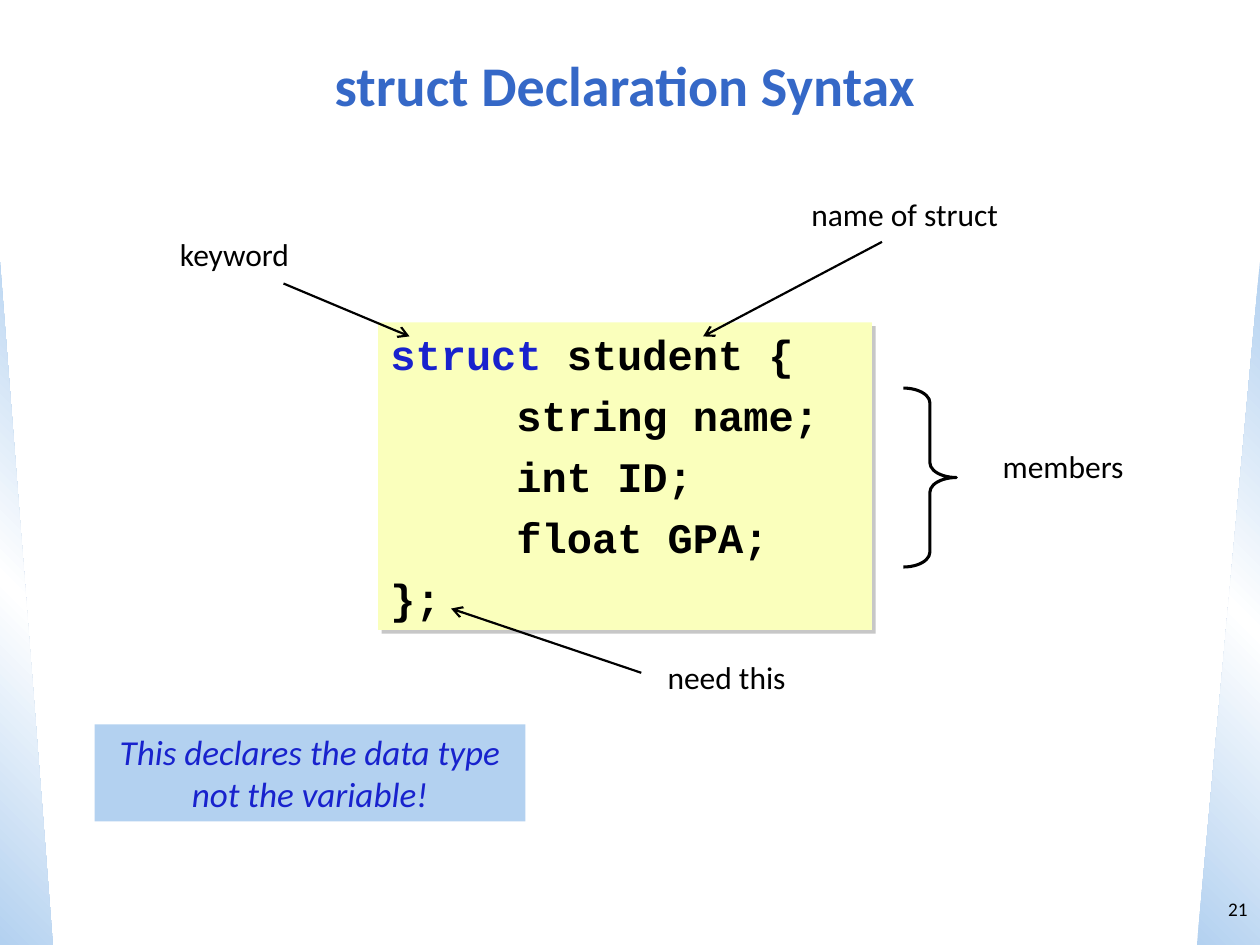
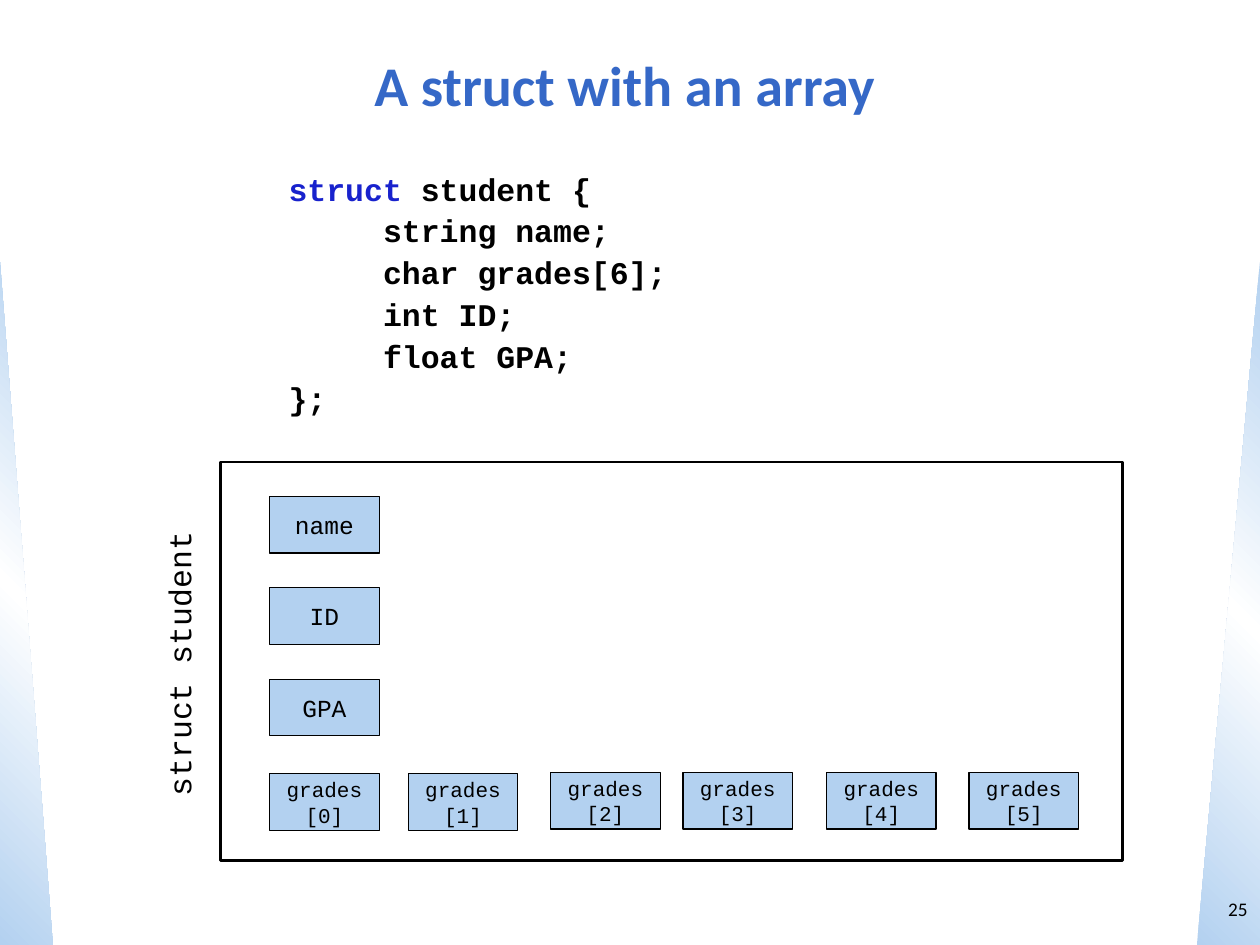
from dataclasses import dataclass

from lxml import etree
from pptx import Presentation
from pptx import util as u
from pptx.dml.color import RGBColor
from pptx.enum import shapes, text
from pptx.oxml import parse_xml
from pptx.oxml.ns import nsdecls, qn

COLORS = {
    "black": "000000",
    "title": "3568C7",
    "keyword": "1822CD",
    "band": "B3D1F0",
    "white": "FFFFFF",
    "code": "FAFFBC",
    "shadow": "808080",
}
BODY, MONO = "Calibri", "Courier New"
SHAPE, ALIGN, ANCHOR = shapes.MSO_SHAPE, text.PP_ALIGN, text.MSO_ANCHOR


@dataclass(frozen=True)
class Box:
    left: float
    top: float
    width: float
    height: float

    def emu(self) -> list:
        return [u.Inches(v) for v in (self.left, self.top, self.width, self.height)]


@dataclass(frozen=True)
class Label:
    words: str
    box: Box


@dataclass(frozen=True)
class Arrow:
    start: tuple[float, float]
    end: tuple[float, float]


@dataclass(frozen=True)
class Field:
    name: str
    left: float
    top: float
    size: int = 14


def rgb(name: str) -> RGBColor:
    return RGBColor.from_string(COLORS[name])


def write(sp, lines, *, size, font=BODY, color="black", bold=False, italic=False,
          align=ALIGN.LEFT, anchor=ANCHOR.TOP, wrap=True, gap=0.0,
          line_spacing=1.0, inset_left=0.1) -> None:
    """Fill a shape with lines; a line is a string or a list of (text, color)."""
    tf = sp.text_frame
    tf.word_wrap, tf.vertical_anchor = wrap, anchor
    tf.margin_left, tf.margin_right = u.Inches(inset_left), u.Inches(0.1)
    tf.margin_top = tf.margin_bottom = u.Inches(0.05)
    for i, line in enumerate(lines):
        p = tf.add_paragraph() if i else tf.paragraphs[0]
        p.alignment = align
        p.line_spacing = line_spacing
        p.space_before = u.Pt(gap if i else 0)
        for words, run_color in [(line, color)] if isinstance(line, str) else line:
            r = p.add_run()
            r.text = words
            r.font.name, r.font.size = font, u.Pt(size)
            r.font.bold, r.font.italic = bold, italic
            r.font.color.rgb = rgb(run_color)


def add_text(s, box: Box, lines, **fmt):
    sp = s.shapes.add_textbox(*box.emu())
    write(sp, lines, **fmt)
    return sp


def add_shape(s, kind, box: Box, fill: str | None = None, line: float = 0):
    sp = s.shapes.add_shape(kind, *box.emu())
    sp.shadow.inherit = False
    if fill:
        sp.fill.solid()
        sp.fill.fore_color.rgb = rgb(fill)
    else:
        sp.fill.background()
    if line:
        sp.line.color.rgb = rgb("black")
        sp.line.width = u.Pt(line)
    else:
        sp.line.fill.background()
    return sp


def add_arrow(s, arrow: Arrow) -> None:
    points = [u.Inches(v) for v in arrow.start + arrow.end]
    cx = s.shapes.add_connector(shapes.MSO_CONNECTOR.STRAIGHT, *points)
    cx.line.color.rgb = rgb("black")
    cx.line.width = u.Pt(1.25)
    ln = cx.element.spPr.find(qn("a:ln"))
    etree.SubElement(ln, qn("a:tailEnd"), type="arrow")
    etree.SubElement(cx.element.spPr, qn("a:effectLst"))


def add_side_band(s, box: Box, angle: int, flip: bool) -> None:
    sp = add_shape(s, SHAPE.RIGHT_TRIANGLE, box)
    stops = "".join(
        f'<a:gs pos="{pos * 1000}"><a:srgbClr val="{COLORS[name]}"/></a:gs>'
        for pos, name in ((0, "band"), (50, "white"), (100, "band")))
    gradient = parse_xml(
        f'<a:gradFill {nsdecls("a")} rotWithShape="1"><a:gsLst>{stops}</a:gsLst>'
        f'<a:lin ang="{angle * 60000}" scaled="0"/></a:gradFill>')
    pr = sp.element.spPr
    pr.replace(pr.find(qn("a:noFill")), gradient)
    if flip:
        pr.find(qn("a:xfrm")).set("flipH", "1")


def add_drop_shadow(sp) -> None:
    effects = sp.element.spPr.find(qn("a:effectLst"))
    effects.append(parse_xml(
        f'<a:outerShdw {nsdecls("a")} blurRad="0" dist="{u.Pt(3)}" dir="2700000" '
        f'algn="ctr" rotWithShape="0"><a:srgbClr val="{COLORS["shadow"]}">'
        '<a:alpha val="43000"/></a:srgbClr></a:outerShdw>'))


def add_slide(prs, title: str, number: int):
    """Add a slide with its side bands, title and number."""
    s = prs.slides.add_slide(prs.slide_layouts[6])
    add_side_band(s, Box(0, 2.08, 0.42, 5.42), 315, False)
    add_side_band(s, Box(9.5, 2.08, 0.5, 5.42), 45, True)
    add_text(s, Box(0.25, 0.25, 9.42, 0.83), [title], size=32, color="title",
             bold=True, align=ALIGN.CENTER, anchor=ANCHOR.MIDDLE)
    add_text(s, Box(9.5, 6.92, 0.5, 0.58), [str(number)], size=11,
             align=ALIGN.RIGHT, anchor=ANCHOR.MIDDLE)
    return s


def struct_code(*members: str) -> list:
    head = [("struct", "keyword"), (" student {", "black")]
    return [head, *(f"     {member};" for member in members), "};"]


def build_syntax_slide(prs) -> None:
    s = add_slide(prs, "struct Declaration Syntax", 21)

    code = add_shape(s, SHAPE.RECTANGLE, Box(3, 2.56, 3.92, 2.44), "code")
    add_drop_shadow(code)
    write(code, struct_code("string name", "int ID", "float GPA"), size=24,
          font=MONO, bold=True, gap=6)

    for label in (
        Label("keyword", Box(1.33, 1.82, 1.08, 0.4)),
        Label("name of struct", Box(6.34, 1.5, 1.68, 0.4)),
        Label("members", Box(7.86, 3.5, 1.16, 0.4)),
        Label("need this", Box(5.2, 5.17, 1.14, 0.4)),
    ):
        add_text(s, label.box, [label.words], size=18, wrap=False)

    for arrow in (
        Arrow((7, 1.92), (5.58, 2.67)),
        Arrow((5.09, 5.34), (3.58, 4.83)),
        Arrow((2.25, 2.25), (3.25, 2.67)),
    ):
        add_arrow(s, arrow)

    brace = add_shape(s, SHAPE.RIGHT_BRACE, Box(7.17, 3.08, 0.42, 1.42), line=1.75)
    brace.adjustments[0] = 0.28

    note = add_shape(s, SHAPE.RECTANGLE, Box(0.75, 5.75, 3.42, 0.77), "band")
    write(note, ["This declares the data type not the variable!"], size=20,
          color="keyword", italic=True, align=ALIGN.CENTER)


def build_array_slide(prs) -> None:
    s = add_slide(prs, "A struct with an array", 25)
    members = struct_code("string name", "char grades[6]", "int ID", "float GPA")
    add_text(s, Box(0.5, 1.33, 9, 5.58), members, size=18, font=MONO, bold=True,
             gap=4.5, line_spacing=0.9, inset_left=1.79)

    first_left = 2.14
    fields = [Field(name, first_left, 3.94 + 0.725 * i)
              for i, name in enumerate(("name", "ID", "GPA"))]
    grade_lefts = (first_left, 3.24, 4.37, 5.42, 6.56, 7.69)
    fields += [Field(f"grades[{i}]", left, 6.14 if i < 2 else 6.13, 12)
               for i, left in enumerate(grade_lefts)]
    for field in fields:
        sp = add_shape(s, SHAPE.RECTANGLE, Box(field.left, field.top, 0.87, 0.45),
                       "band", line=0.75)
        write(sp, [field.name], size=field.size, font=MONO,
              align=ALIGN.CENTER, anchor=ANCHOR.MIDDLE)

    frame = add_shape(s, SHAPE.ROUNDED_RECTANGLE, Box(1.75, 3.67, 7.16, 3.16), line=1.25)
    frame.adjustments[0] = 0
    side = add_text(s, Box(0.27, 5.07, 2.3, 0.4), ["struct student"], size=18,
                    font=MONO, wrap=False)
    side.rotation = 270


def main() -> None:
    prs = Presentation()
    prs.slide_width, prs.slide_height = u.Inches(10), u.Inches(7.5)
    build_syntax_slide(prs)
    build_array_slide(prs)
    prs.save("out.pptx")


if __name__ == "__main__":
    main()
